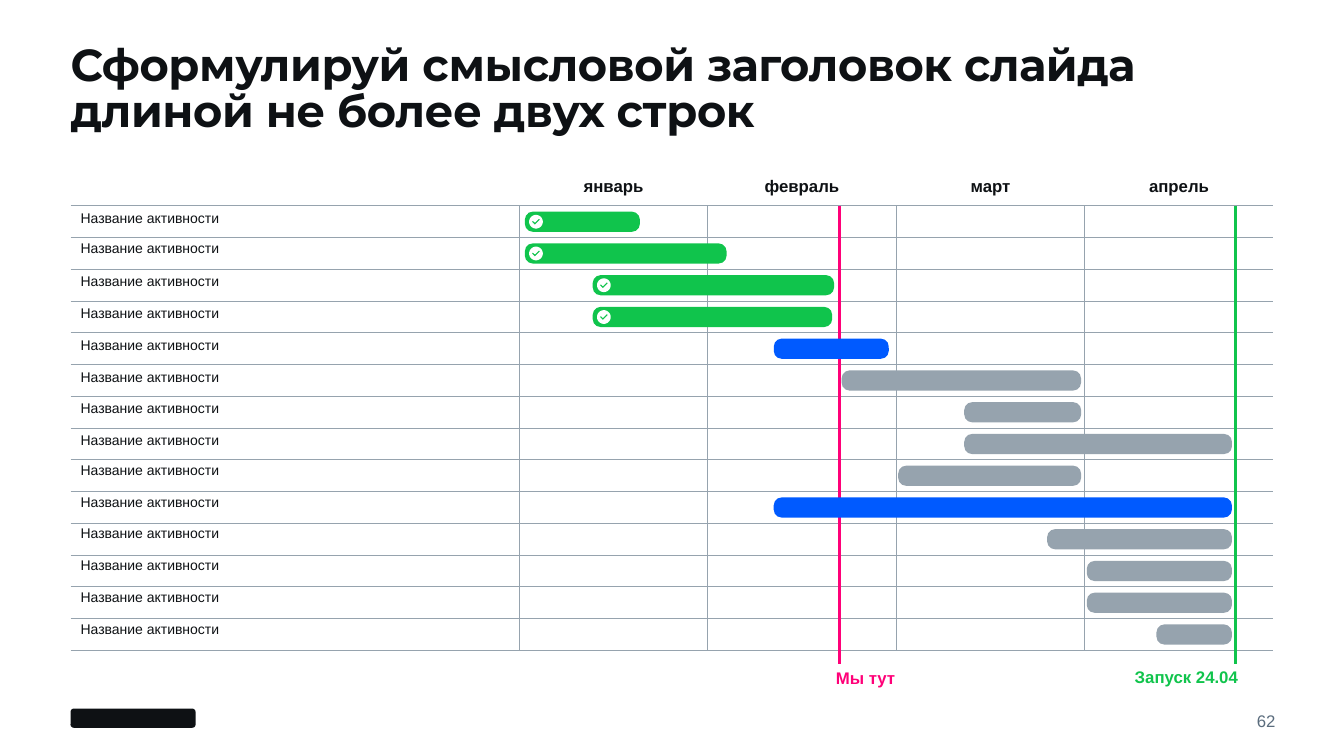
from dataclasses import dataclass
from math import cos, pi, sin

from lxml import etree
from pptx import Presentation
from pptx.dml.color import RGBColor
from pptx.enum.shapes import MSO_CONNECTOR, MSO_SHAPE
from pptx.enum.text import MSO_ANCHOR, MSO_AUTO_SIZE, PP_ALIGN
from pptx.oxml.ns import qn
from pptx.util import Inches, Pt

LEFT, CENTER, RIGHT = PP_ALIGN.LEFT, PP_ALIGN.CENTER, PP_ALIGN.RIGHT
TOP, MIDDLE = MSO_ANCHOR.TOP, MSO_ANCHOR.MIDDLE
NO_FIT = MSO_AUTO_SIZE.NONE
STRAIGHT = MSO_CONNECTOR.STRAIGHT
ROUNDED = MSO_SHAPE.ROUNDED_RECTANGLE
TITLE_ONLY = 5


@dataclass(frozen=True)
class Theme:
    ink: str = "0E1114"
    muted: str = "5A6C7D"
    grid: str = "96A3AE"
    white: str = "FFFFFF"
    done: str = "10C44C"
    active: str = "005AFF"
    planned: str = "96A3AE"
    today: str = "FF0078"
    heading_font: str = "Montserrat"
    body_font: str = "Arial"
    title_size: int = 32
    label_size: int = 12
    cell_size: int = 10


THEME = Theme()

# Grid of the schedule, in inches
MARGIN, WIDTH = 0.7, 11.93
TABLE_TOP, HEADER_HEIGHT, TABLE_HEIGHT = 1.66, 0.38, 4.79
NAME_WIDTH = 4.45
BAR_HEIGHT = 0.2
MONTHS = ["январь", "февраль", "март", "апрель"]
ACTIVITY = "Название активности"
TIGHT_ROWS = {2, *range(9, 15)}

# One bar per activity: start and end in months, colour
BARS = [
    (0.03, 0.64, THEME.done), (0.03, 1.10, THEME.done),
    (0.39, 1.67, THEME.done), (0.39, 1.66, THEME.done),
    (1.35, 1.96, THEME.active), (1.71, 2.98, THEME.planned),
    (2.36, 2.98, THEME.planned), (2.36, 3.78, THEME.planned),
    (2.01, 2.98, THEME.planned), (1.35, 3.78, THEME.active),
    (2.80, 3.78, THEME.planned), (3.01, 3.78, THEME.planned),
    (3.01, 3.78, THEME.planned), (3.38, 3.78, THEME.planned),
]
MONTH_WIDTH = (WIDTH - NAME_WIDTH) / len(MONTHS)
ROW_HEIGHT = (TABLE_HEIGHT - HEADER_HEIGHT) / len(BARS)


def month_x(month):
    return MARGIN + NAME_WIDTH + month * MONTH_WIDTH


def row_y(row):
    return TABLE_TOP + HEADER_HEIGHT + row * ROW_HEIGHT


def color(value):
    return RGBColor.from_string(value)


def paint(shape, fill):
    shape.shadow.inherit = False
    shape.fill.solid()
    shape.fill.fore_color.rgb = color(fill)
    shape.line.fill.background()


def write(frame, text, size, ink, bold=False, align=LEFT, font=THEME.body_font):
    para = frame.paragraphs[0]
    para.text = text
    para.alignment = align
    span = para.runs[0]
    span.font.name, span.font.size, span.font.bold = font, Pt(size), bold
    span.font.color.rgb = color(ink)
    return para


def clear_margins(frame):
    frame.margin_left = frame.margin_right = frame.margin_top = frame.margin_bottom = 0


def add_title(page, text):
    title = page.shapes.title
    title.left, title.top = Inches(MARGIN), Inches(0.45)
    title.width, title.height = Inches(WIDTH), Inches(0.75)
    frame = title.text_frame
    clear_margins(frame)
    frame.word_wrap, frame.auto_size = True, NO_FIT
    frame.vertical_anchor = TOP
    para = write(frame, text, THEME.title_size, THEME.ink, True, font=THEME.heading_font)
    para.line_spacing = 0.85
    para.runs[0].font._element.set("spc", "-30")


def add_label(page, text, left, top, width, height, ink, bold=True, align=LEFT, anchor=TOP):
    box = page.shapes.add_textbox(Inches(left), Inches(top), Inches(width), Inches(height))
    frame = box.text_frame
    clear_margins(frame)
    frame.word_wrap, frame.vertical_anchor = False, anchor
    write(frame, text, THEME.label_size, ink, bold, align)


def set_borders(cell, widths):
    """Takes widths in points by side; a side left out has no line."""
    properties = cell._tc.get_or_add_tcPr()
    for side in "LRTB":
        line = etree.SubElement(properties, qn(f"a:ln{side}"), w=str(Pt(widths.get(side, 0))))
        if side in widths:
            fill = etree.SubElement(line, qn("a:solidFill"))
            etree.SubElement(fill, qn("a:srgbClr"), val=THEME.grid)
        else:
            etree.SubElement(line, qn("a:noFill"))


def cell_borders(row, column):
    if row == 0:
        return {"B": 0.5}
    widths = {"T": 0.5, "B": 0.5}
    if column > 0:
        widths["L"] = 1 if column == 1 else 0.5
    if column < len(MONTHS):
        widths["R"] = 1 if column == 0 else 0.5
    return widths


def fill_cell(cell, row, column):
    cell.margin_left = cell.margin_right = Inches(0.1)
    cell.margin_top = cell.margin_bottom = Inches(0.05)
    set_borders(cell, cell_borders(row, column))
    cell.fill.background()
    frame = cell.text_frame
    if row == 0 and column > 0:
        cell.vertical_anchor = MIDDLE
        write(frame, MONTHS[column - 1], THEME.label_size, THEME.ink, True, CENTER)
    elif row > 0 and column == 0:
        para = write(frame, ACTIVITY, THEME.cell_size, THEME.ink)
        if row in TIGHT_ROWS:
            para.line_spacing = 0.85
    else:
        # Keeps an empty cell from stretching its row
        etree.SubElement(frame.paragraphs[0]._p, qn("a:endParaRPr"), sz=str(THEME.cell_size * 100))


def add_schedule(page):
    table = page.shapes.add_table(
        len(BARS) + 1, len(MONTHS) + 1, Inches(MARGIN), Inches(TABLE_TOP),
        Inches(WIDTH), Inches(TABLE_HEIGHT)).table
    table.first_row = table.horz_banding = False
    for index, column in enumerate(table.columns):
        column.width = Inches(MONTH_WIDTH if index else NAME_WIDTH)
    for index, row in enumerate(table.rows):
        row.height = Inches(ROW_HEIGHT if index else HEADER_HEIGHT)
        for position, cell in enumerate(row.cells):
            fill_cell(cell, index, position)


def add_marker(page, month, ink):
    x = Inches(month_x(month))
    line = page.shapes.add_connector(STRAIGHT, x, Inches(row_y(0)), x, Inches(6.59))
    line.line.color.rgb, line.line.width = color(ink), Pt(2.5)
    etree.SubElement(line._element.spPr, qn("a:effectLst"))


def add_check(page, x, y):
    """Draws a round badge with a tick cut out of it."""
    radius, steps = 0.068, 36
    circle = [(radius * cos(2 * pi * i / steps), radius * sin(2 * pi * i / steps))
              for i in range(steps)]
    tick = [(0.04, -0.02), (-0.01, 0.03), (-0.04, 0), (-0.03, -0.01), (-0.01, 0.01), (0.03, -0.03)]
    outlines = [[(Inches(x + dx), Inches(y + dy)) for dx, dy in points]
                for points in (circle, tick)]
    builder = page.shapes.build_freeform(*outlines[0][0])
    builder.add_line_segments(outlines[0][1:], close=True)
    builder.move_to(*outlines[1][0])
    builder.add_line_segments(outlines[1][1:], close=True)
    paint(builder.convert_to_shape(), THEME.white)


def add_bar(page, row, start, end, fill):
    x, y = month_x(start), row_y(row) + 0.06
    bar = page.shapes.add_shape(
        ROUNDED, Inches(x), Inches(y), Inches(month_x(end) - x), Inches(BAR_HEIGHT))
    bar.adjustments[0] = 0.39
    paint(bar, fill)
    if fill == THEME.done:
        add_check(page, x + 0.11, y + BAR_HEIGHT / 2)


def main():
    deck = Presentation()
    deck.slide_width, deck.slide_height = Inches(13.33), Inches(7.5)
    page = deck.slides.add_slide(deck.slide_layouts[TITLE_ONLY])
    add_title(page, "Сформулируй смысловой заголовок слайда длиной не более двух строк")
    add_schedule(page)
    # Milestones
    add_label(page, "Мы тут", 8.29, 6.62, 0.7, 0.29, THEME.today)
    add_marker(page, 1.7, THEME.today)
    add_label(page, "Запуск 24.04", 10.86, 6.61, 1.42, 0.29, THEME.done, align=RIGHT)
    add_marker(page, 3.8, THEME.done)
    for row, bar in enumerate(BARS):
        add_bar(page, row, *bar)
    # Footer
    badge = page.shapes.add_shape(ROUNDED, Inches(MARGIN), Inches(7.03), Inches(1.24), Inches(0.19))
    paint(badge, THEME.ink)
    add_label(page, "62", 11.66, 7.03, 0.99, 0.24, THEME.muted, False, RIGHT, MIDDLE)
    deck.save("out.pptx")


if __name__ == "__main__":
    main()
